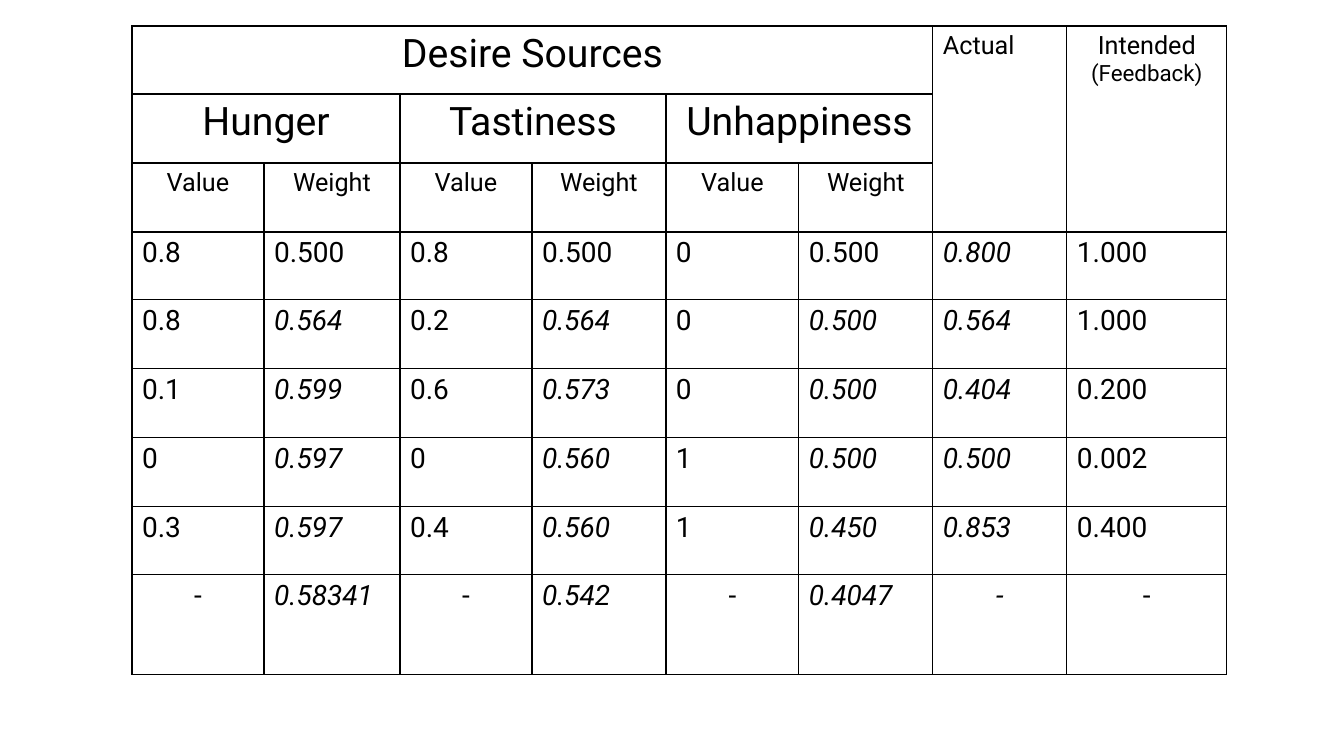
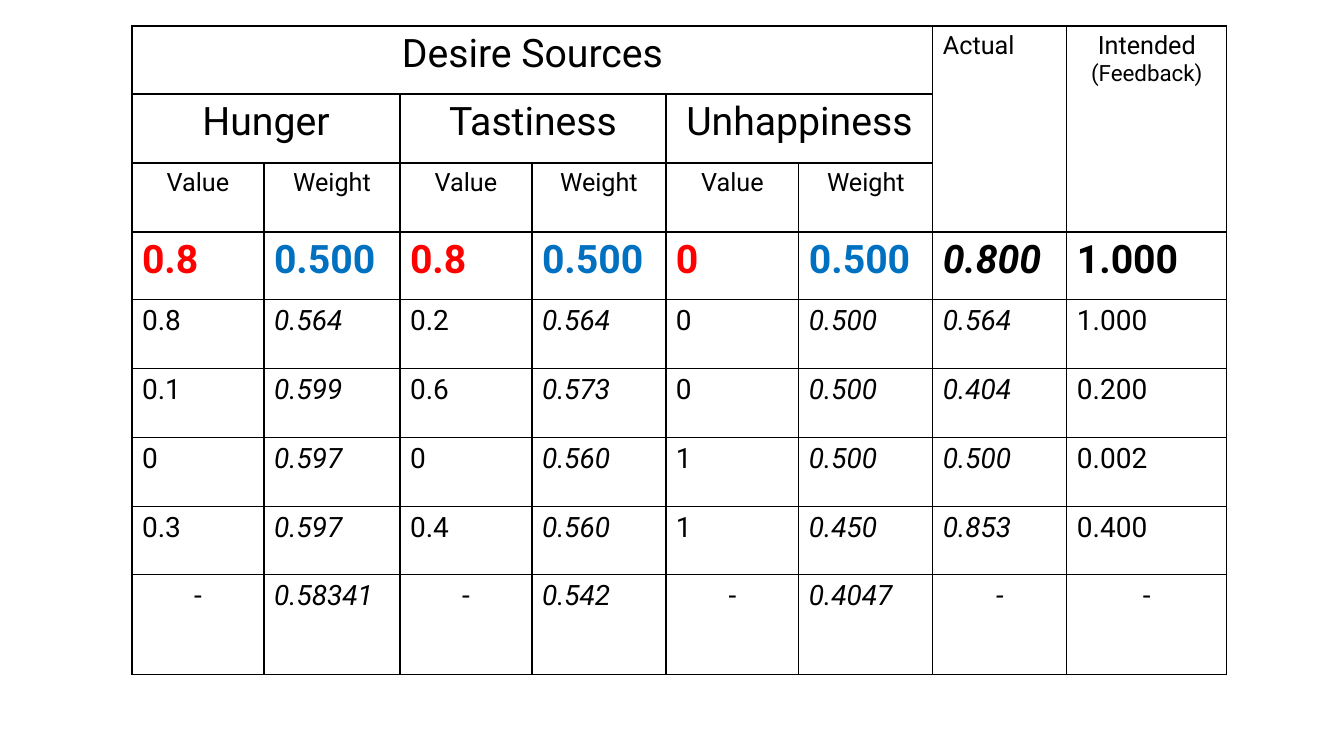
"""Build two slides showing a desire-learning table, the second with its first step highlighted."""
from dataclasses import dataclass
from itertools import pairwise

from lxml import etree
from pptx import Presentation
from pptx import util as u
from pptx.dml.color import RGBColor
from pptx.enum import text
from pptx.oxml import ns

EMU_PER_PX = 914400 / 100.8
FONT = "Roboto"
COLORS = {"ink": "000000", "value": "FF0000", "weight": "0070C0"}
COLUMN_EDGES = (132, 264, 400, 532, 666, 799, 933, 1067, 1227)
ROW_EDGES = (26, 94, 163, 232, 300, 369, 438, 507, 575, 675)
FIRST_STEP = 3
VALUE_COLUMNS = (0, 2, 4)
WEIGHT_COLUMNS = (1, 3, 5)
ACTUAL_COLUMN = 6
STEPS = (
    ("0.8", "0.500", "0.8", "0.500", "0", "0.500", "0.800", "1.000"),
    ("0.8", "0.564", "0.2", "0.564", "0", "0.500", "0.564", "1.000"),
    ("0.1", "0.599", "0.6", "0.573", "0", "0.500", "0.404", "0.200"),
    ("0", "0.597", "0", "0.560", "1", "0.500", "0.500", "0.002"),
    ("0.3", "0.597", "0.4", "0.560", "1", "0.450", "0.853", "0.400"),
    ("-", "0.58341", "-", "0.542", "-", "0.4047", "-", "-"),
)


@dataclass(frozen=True)
class Line:
    content: str
    size: int
    centered: bool = True
    italic: bool = False
    bold: bool = False
    color: str = "ink"


@dataclass(frozen=True)
class Heading:
    row: int
    column: int
    lines: tuple[Line, ...]
    row_span: int = 1
    column_span: int = 1


HEADINGS = (
    Heading(0, 0, (Line("Desire Sources", 28),), column_span=6),
    Heading(0, 6, (Line("Actual", 18, centered=False),), row_span=3),
    Heading(0, 7, (Line("Intended", 18), Line("(Feedback)", 16)), row_span=3),
    *(Heading(1, column, (Line(source, 28),), column_span=2)
      for column, source in zip(VALUE_COLUMNS, ("Hunger", "Tastiness", "Unhappiness"))),
    *(Heading(2, column, (Line("Value", 18),)) for column in VALUE_COLUMNS),
    *(Heading(2, column, (Line("Weight", 18),)) for column in WEIGHT_COLUMNS),
)


def px(length: int) -> int:
    return round(length * EMU_PER_PX)


def style_cell(cell) -> None:
    properties = cell._tc.get_or_add_tcPr()
    for side in ("a:lnL", "a:lnR", "a:lnT", "a:lnB"):
        border = etree.SubElement(properties, ns.qn(side), w=str(u.Pt(1)))
        fill = etree.SubElement(border, ns.qn("a:solidFill"))
        etree.SubElement(fill, ns.qn("a:srgbClr"), val=COLORS["ink"])
    cell.fill.background()


def write_lines(cell, lines: tuple[Line, ...]) -> None:
    frame = cell.text_frame
    frame.text = "\n".join(line.content for line in lines)
    for paragraph, line in zip(frame.paragraphs, lines):
        paragraph.alignment = text.PP_ALIGN.CENTER if line.centered else text.PP_ALIGN.LEFT
        font = paragraph.font
        font.name, font.size = FONT, u.Pt(line.size)
        font.bold, font.italic = line.bold, line.italic
        font.color.rgb = RGBColor.from_string(COLORS[line.color])


def step_line(content: str, step: int, column: int, highlighted: bool) -> Line:
    learned = column in WEIGHT_COLUMNS and step > 0
    color = "ink"
    if highlighted and column in VALUE_COLUMNS:
        color = "value"
    elif highlighted and column in WEIGHT_COLUMNS:
        color = "weight"
    return Line(content, 28 if highlighted else 20, centered=content == "-",
                italic=learned or column == ACTUAL_COLUMN, bold=highlighted, color=color)


def add_desire_table(slide, highlighted_step: int | None) -> None:
    left, top = COLUMN_EDGES[0], ROW_EDGES[0]
    table = slide.shapes.add_table(
        len(ROW_EDGES) - 1, len(COLUMN_EDGES) - 1, px(left), px(top),
        px(COLUMN_EDGES[-1] - left), px(ROW_EDGES[-1] - top)).table
    table.first_row = table.horz_banding = False
    for column, (start, end) in zip(table.columns, pairwise(COLUMN_EDGES)):
        column.width = px(end - start)
    for row, (start, end) in zip(table.rows, pairwise(ROW_EDGES)):
        row.height = px(end - start)
    for cell in table.iter_cells():
        style_cell(cell)
    for heading in HEADINGS:
        cell = table.cell(heading.row, heading.column)
        if heading.row_span > 1 or heading.column_span > 1:
            cell.merge(table.cell(heading.row + heading.row_span - 1,
                                  heading.column + heading.column_span - 1))
        write_lines(cell, heading.lines)
    for step, contents in enumerate(STEPS):
        for column, content in enumerate(contents):
            line = step_line(content, step, column, step == highlighted_step)
            write_lines(table.cell(FIRST_STEP + step, column), (line,))


def main() -> None:
    presentation = Presentation()
    presentation.slide_width, presentation.slide_height = px(1344), px(756)
    for highlighted_step in (None, 0):
        slide = presentation.slides.add_slide(presentation.slide_layouts[6])
        add_desire_table(slide, highlighted_step)
    presentation.save("out.pptx")


if __name__ == "__main__":
    main()
